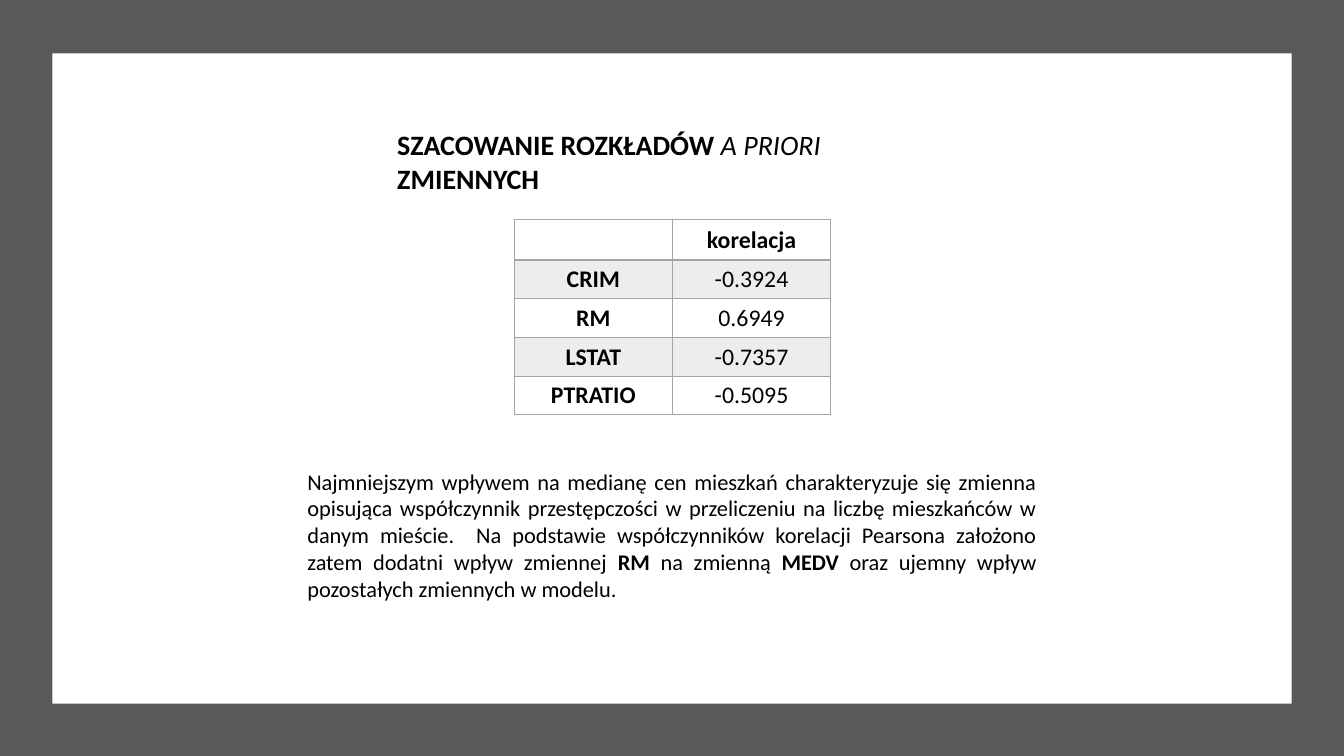
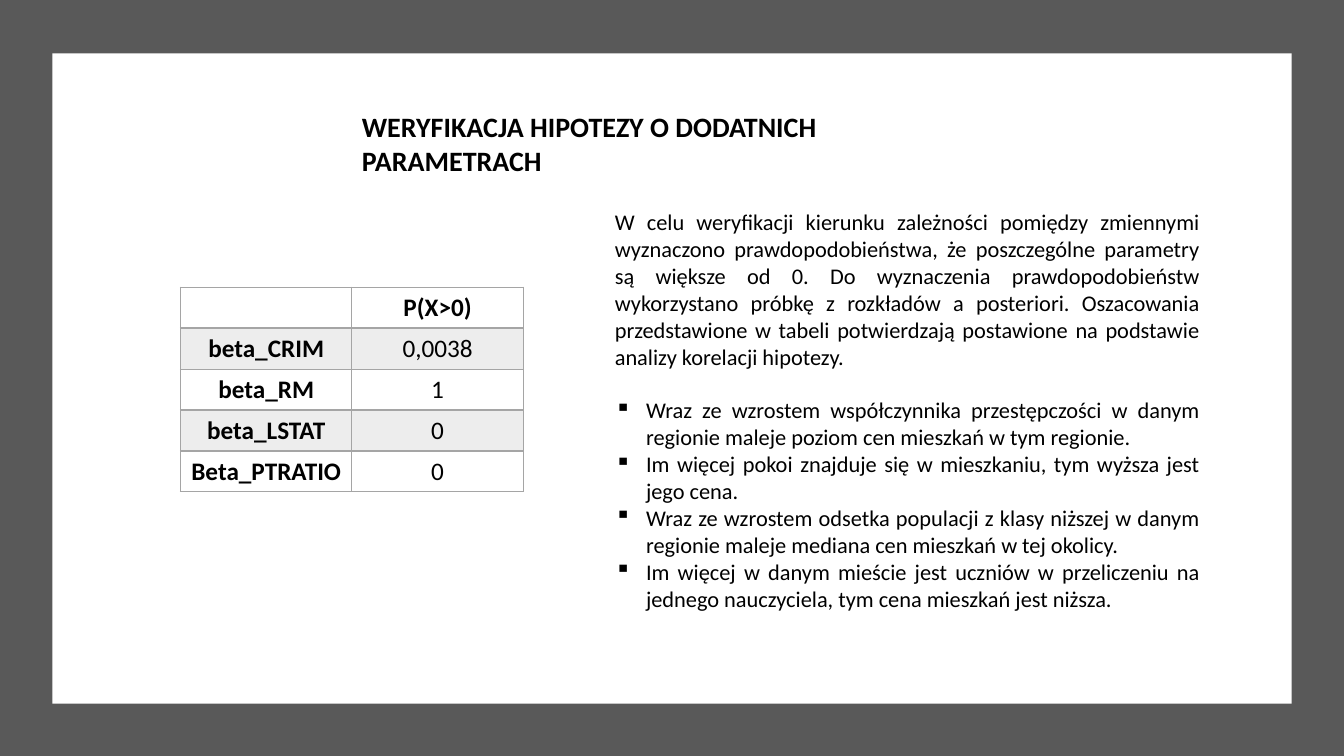
from dataclasses import dataclass

from lxml import etree
from pptx import Presentation
from pptx.dml.color import RGBColor
from pptx.enum.shapes import MSO_SHAPE as Shape
from pptx.enum.text import MSO_ANCHOR as Anchor, PP_ALIGN as Align
from pptx.oxml.ns import qn
from pptx.util import Inches, Pt

WIDTH, HEIGHT = 13.33, 7.5
BLANK_LAYOUT = 6


@dataclass(frozen=True)
class Theme:
    font: str = "Calibri"
    text: str = "000000"
    frame: str = "595959"
    paper: str = "FFFFFF"
    grid: str = "A5A5A5"
    band: str = "EDEDED"
    title_size: float = 20
    body_size: float = 16
    line: float = 1
    header_line: float = 2


class SlideBuilder:
    """Holds the deck, its theme and the page being filled."""

    def __init__(self, theme):
        self.theme = theme
        self.deck = Presentation()
        self.deck.slide_width = Inches(WIDTH)
        self.deck.slide_height = Inches(HEIGHT)
        self.page = None

    def new_page(self):
        layout = self.deck.slide_layouts[BLANK_LAYOUT]
        self.page = self.deck.slides.add_slide(layout)
        self.panel(0, 0, WIDTH, HEIGHT, self.theme.frame)
        self.panel(0.52, 0.53, 12.29, 6.45, self.theme.paper)

    def panel(self, left, top, width, height, color):
        box = self.page.shapes.add_shape(
            Shape.RECTANGLE, *map(Inches, (left, top, width, height)))
        box.shadow.inherit = False
        box.fill.solid()
        box.fill.fore_color.rgb = RGBColor.from_string(color)
        box.line.fill.background()

    def text_frame(self, left, top, width, height):
        box = self.page.shapes.add_textbox(
            *map(Inches, (left, top, width, height)))
        box.text_frame.word_wrap = True
        return box.text_frame

    def set_text(self, para, spans, size, align, bold=None):
        """Fill a paragraph with (text, style) spans; style is "", "b" or "i"."""
        para.alignment = align
        para.font.name = self.theme.font
        para.font.size = Pt(size)
        para.font.bold = bold
        para.font.color.rgb = RGBColor.from_string(self.theme.text)
        for text, style in spans:
            span = para.add_run()
            span.text = text
            if style:
                span.font.bold = style == "b"
                span.font.italic = style == "i"

    def title(self, left, top, width, spans):
        frame = self.text_frame(left, top, width, 0.44)
        self.set_text(frame.paragraphs[0], spans, self.theme.title_size,
                      Align.LEFT)

    def body(self, left, top, width, height, spans, bullets=()):
        frame = self.text_frame(left, top, width, height)
        size = self.theme.body_size
        self.set_text(frame.paragraphs[0], spans, size, Align.JUSTIFY)
        for index, text in enumerate(bullets):
            para = frame.add_paragraph()
            if index == 0:
                para.space_before = Pt(1.2 * size)
            self.set_text(para, [(text, "")], size, Align.JUSTIFY)
            self.bullet(para)

    def bullet(self, para, indent=0.31):
        properties = para._p.get_or_add_pPr()
        properties.set("marL", str(Inches(indent)))
        properties.set("indent", str(-Inches(indent)))
        mark = etree.Element(qn("a:buChar"), char="▪")
        properties.find(qn("a:defRPr")).addprevious(mark)

    def border(self, cell, side, width):
        line = etree.SubElement(
            cell._tc.get_or_add_tcPr(), qn(f"a:ln{side}"), w=str(Pt(width)))
        fill = etree.SubElement(line, qn("a:solidFill"))
        etree.SubElement(fill, qn("a:srgbClr"), val=self.theme.grid)

    def table(self, left, top, width, height, rows, size):
        """Draw a grid with a bold header row, bold first column and grey bands."""
        theme = self.theme
        table = self.page.shapes.add_table(
            len(rows), len(rows[0]),
            *map(Inches, (left, top, width, height))).table
        table.first_row = table.horz_banding = False
        for row_index, row in enumerate(rows):
            for column_index, text in enumerate(row):
                cell = table.cell(row_index, column_index)
                cell.margin_left = cell.margin_right = Inches(0.09)
                cell.margin_top = cell.margin_bottom = Inches(0.05)
                cell.vertical_anchor = Anchor.MIDDLE
                bold = row_index == 0 or column_index == 0
                self.set_text(cell.text_frame.paragraphs[0], [(text, "")],
                              size, Align.CENTER, bold)
                widths = {"L": theme.line, "R": theme.line,
                          "T": theme.header_line if row_index == 1 else theme.line,
                          "B": theme.header_line if row_index == 0 else theme.line}
                for side, line_width in widths.items():
                    self.border(cell, side, line_width)
                color = theme.band if row_index % 2 else theme.paper
                cell.fill.solid()
                cell.fill.fore_color.rgb = RGBColor.from_string(color)


def correlation_page(builder):
    builder.new_page()
    builder.body(2.95, 4.59, 7.43, 1.45, [
        ("Najmniejszym wpływem na medianę cen mieszkań charakteryzuje się "
         "zmienna opisująca współczynnik przestępczości w przeliczeniu na "
         "liczbę mieszkańców w danym mieście.  Na podstawie współczynników "
         "korelacji Pearsona założono zatem dodatni wpływ zmiennej ", ""),
        ("RM", "b"),
        (" na zmienną ", ""),
        ("MEDV", "b"),
        (" oraz ujemny wpływ pozostałych zmiennych w modelu.", ""),
    ])
    builder.table(5.1, 2.18, 3.14, 1.88, [
        ("", "korelacja"),
        ("CRIM", "-0.3924"),
        ("RM", "0.6949"),
        ("LSTAT", "-0.7357"),
        ("PTRATIO", "-0.5095"),
    ], size=17)
    builder.title(3.84, 1.22, 5.65, [
        ("SZACOWANIE ROZKŁADÓW ", "b"),
        ("A PRIORI ", "i"),
        ("ZMIENNYCH", "b"),
    ])


def hypothesis_page(builder):
    builder.new_page()
    builder.table(1.79, 2.85, 3.4, 2.03, [
        ("", "P(X>0)"),
        ("beta_CRIM", "0,0038"),
        ("beta_RM", "1"),
        ("beta_LSTAT", "0"),
        ("Beta_PTRATIO", "0"),
    ], size=18)
    builder.title(3.49, 1.04, 6.36, [
        ("WERYFIKACJA HIPOTEZY O DODATNICH PARAMETRACH", "b"),
    ])
    builder.body(6, 2.02, 6, 4.44, [
        ("W celu weryfikacji kierunku zależności pomiędzy zmiennymi wyznaczono "
         "prawdopodobieństwa, że poszczególne parametry są większe od 0. Do "
         "wyznaczenia prawdopodobieństw wykorzystano próbkę z rozkładów a "
         "posteriori. Oszacowania przedstawione w tabeli potwierdzają "
         "postawione na podstawie analizy korelacji hipotezy.", ""),
    ], bullets=[
        "Wraz ze wzrostem współczynnika przestępczości w danym regionie maleje "
        "poziom cen mieszkań w tym regionie.",
        "Im więcej pokoi znajduje się w mieszkaniu, tym wyższa jest jego cena.",
        "Wraz ze wzrostem odsetka populacji z klasy niższej w danym regionie "
        "maleje mediana cen mieszkań w tej okolicy.",
        "Im więcej w danym mieście jest uczniów w przeliczeniu na jednego "
        "nauczyciela, tym cena mieszkań jest niższa.",
    ])


def main():
    builder = SlideBuilder(Theme())
    correlation_page(builder)
    hypothesis_page(builder)
    builder.deck.save("out.pptx")


if __name__ == "__main__":
    main()
